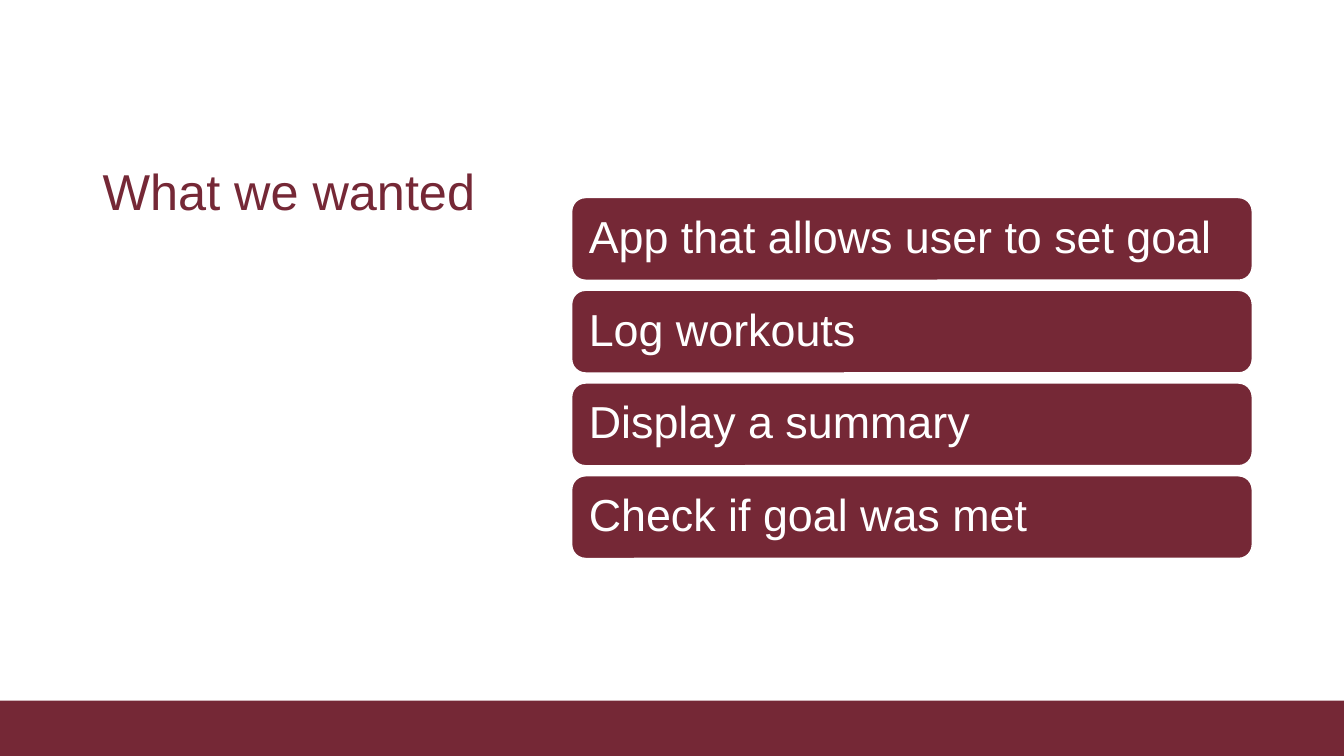
from dataclasses import dataclass

from pptx import Presentation
from pptx.dml.color import RGBColor
from pptx.enum import shapes, text
from pptx.util import Inches, Pt


@dataclass(frozen=True)
class Theme:
    font: str = "Arial"
    wine: RGBColor = RGBColor(0x75, 0x28, 0x36)
    white: RGBColor = RGBColor(0xFF, 0xFF, 0xFF)
    title: int = 36
    body: int = 32


class Deck:
    """Draws styled elements on the current slide."""

    def __init__(self, slide, theme):
        self.slide = slide
        self.theme = theme

    def label(self, shape, words, size, color, anchor, inset):
        frame = shape.text_frame
        frame.text = words
        frame.word_wrap = True
        frame.vertical_anchor = anchor
        frame.margin_left = frame.margin_right = Inches(inset[0])
        frame.margin_top = frame.margin_bottom = Inches(inset[1])
        para = frame.paragraphs[0]
        para.alignment = text.PP_ALIGN.LEFT
        para.line_spacing = 0.9
        font = para.runs[0].font
        font.name = self.theme.font
        font.size = Pt(size)
        font.color.rgb = color

    def block(self, kind, box):
        shape = self.slide.shapes.add_shape(kind, *map(Inches, box))
        shape.shadow.inherit = False
        shape.fill.solid()
        shape.fill.fore_color.rgb = self.theme.wine
        shape.line.fill.background()
        return shape

    def band(self, box):
        self.block(shapes.MSO_SHAPE.RECTANGLE, box)

    def title(self, words, box):
        shape = self.slide.shapes.add_textbox(*map(Inches, box))
        self.label(shape, words, self.theme.title, self.theme.wine,
                   text.MSO_ANCHOR.BOTTOM, (0.1, 0.05))

    def card(self, words, box):
        shape = self.block(shapes.MSO_SHAPE.ROUNDED_RECTANGLE, box)
        shape.line.color.rgb = self.theme.white
        shape.line.width = Pt(1)
        self.label(shape, words, self.theme.body, self.theme.white,
                   text.MSO_ANCHOR.MIDDLE, (0.13, 0.13))


GOALS = (
    "App that allows user to set goal",
    "Log workouts",
    "Display a summary",
    "Check if goal was met",
)


def main():
    prs = Presentation()
    prs.slide_width = Inches(13.33)
    prs.slide_height = Inches(7.5)
    deck = Deck(prs.slides.add_slide(prs.slide_layouts[6]), Theme())

    deck.band((0, 6.95, 13.33, 0.55))
    deck.title("What we wanted", (0.92, 0.5, 4.3, 1.75))
    top, step = 1.96, 0.92
    for row, goal in enumerate(GOALS):
        deck.card(goal, (5.67, top + row * step, 6.75, 0.82))

    prs.save("out.pptx")


if __name__ == "__main__":
    main()
